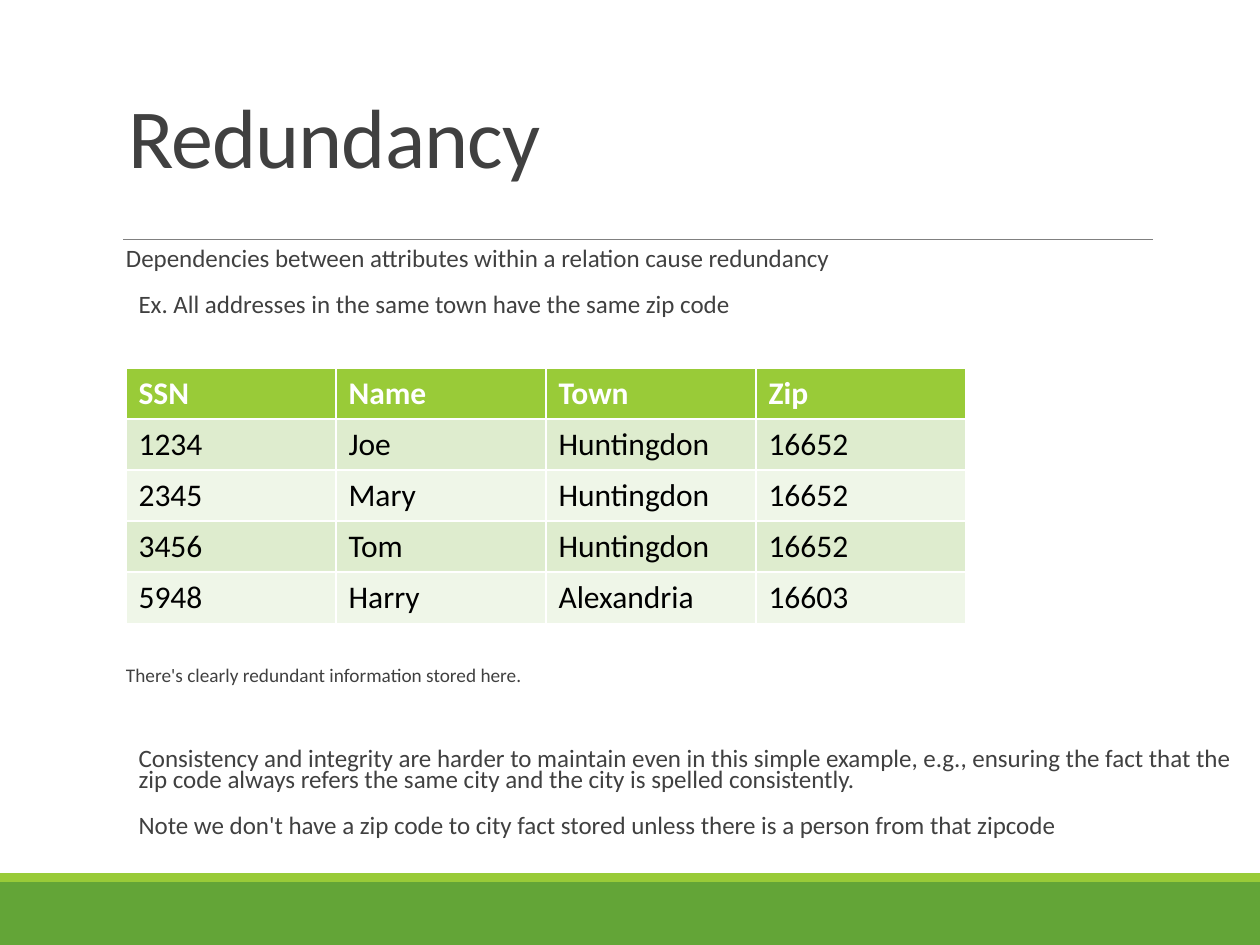
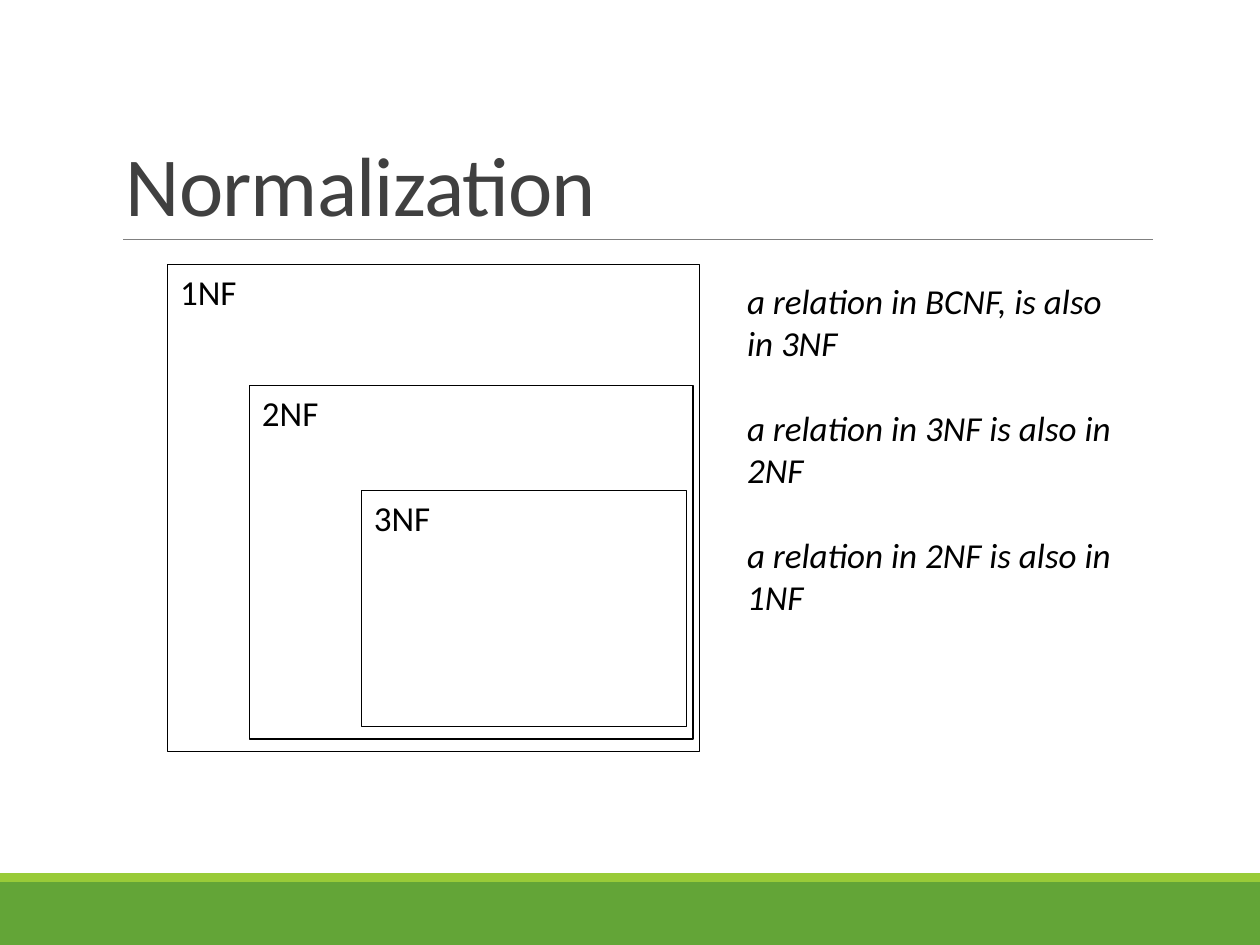
"""Build two slides on redundancy and normalization in relations."""
import lxml.etree
import pptx
import pptx.dml.color
import pptx.enum.shapes
import pptx.enum.text
import pptx.oxml.ns
import pptx.util

Pt = pptx.util.Pt
RGB = pptx.dml.color.RGBColor
SHAPE = pptx.enum.shapes.MSO_SHAPE
ANCHOR = pptx.enum.text.MSO_ANCHOR

FONT = "Calibri"
GREEN = RGB(0x63, 0xA5, 0x37)
LIME = RGB(0x99, 0xCB, 0x38)
ROW_TINTS = (RGB(0xDE, 0xEC, 0xCE), RGB(0xEF, 0xF6, 0xE8))
GRAY = RGB(0x80, 0x80, 0x80)
CHARCOAL = RGB(0x40, 0x40, 0x40)
BLACK = RGB(0, 0, 0)
WHITE = RGB(0xFF, 0xFF, 0xFF)

WIDTH, HEIGHT = 720, 540
BANDS = [(504, 36, GREEN), (499, 5, LIME)]
RULE = (70.5, 137, 659, 137)

REDUNDANCY_TITLE = ("Redundancy", (66.2, 49.7, 612, 59.8))
# text, size, left indent, extra space above
REDUNDANCY_POINTS = [
    ("Dependencies between attributes within a relation cause redundancy", 14.3, 0, 0),
    ("Ex. All addresses in the same town have the same zip code", 14.3, 7.2, 0),
    ("There's clearly redundant information stored here.", 11, 0, 187.2),
    ("Consistency and integrity are harder to maintain even in this simple example, "
     "e.g., ensuring the fact that the zip code always refers the same city and the "
     "city is spelled consistently.", 14.3, 7.2, 23.4),
    ("Note we don't have a zip code to city fact stored unless there is a person "
     "from that zipcode", 14.3, 7.2, 0),
]
RESIDENTS = [
    ("SSN", "Name", "Town", "Zip"),
    ("1234", "Joe", "Huntingdon", "16652"),
    ("2345", "Mary", "Huntingdon", "16652"),
    ("3456", "Tom", "Huntingdon", "16652"),
    ("5948", "Harry", "Alexandria", "16603"),
]
COLUMN_WIDTH, ROW_HEIGHT = 120, 29.2

NORMALIZATION_TITLE = ("Normalization", (64.8, 22.3, 594, 114.5))
NORMAL_FORMS = [("1NF", 95.8, 151.2), ("2NF", 142.6, 220.3), ("3NF", 206.6, 280.1)]
OUTER_RIGHT, OUTER_BOTTOM = 399.6, 429.5
RIGHT_STEP, BOTTOM_STEP = 3.6, 7.2
IMPLICATIONS = [
    "a relation in BCNF, is also in 3NF",
    "a relation in 3NF is also in 2NF",
    "a relation in 2NF is also in 1NF",
]


def style(para, size, color, bold=False, italic=False):
    font = para.font
    font.name, font.size, font.bold, font.italic = FONT, Pt(size), bold, italic
    font.color.rgb = color


def add_rectangle(page, place, fill=None, line=None):
    box = page.shapes.add_shape(SHAPE.RECTANGLE, *map(Pt, place))
    box.shadow.inherit = False
    if fill is None:
        box.fill.background()
    else:
        box.fill.solid()
        box.fill.fore_color.rgb = fill
    if line is None:
        box.line.fill.background()
    else:
        box.line.color.rgb = line
        box.line.width = Pt(0.75)
    return box


def add_text(page, place, texts):
    frame = page.shapes.add_textbox(*map(Pt, place)).text_frame
    frame.word_wrap = True
    frame.text = "\n".join(texts)
    return frame


def add_page(deck, title, place):
    page = deck.slides.add_slide(deck.slide_layouts[6])
    for top, height, color in BANDS:
        add_rectangle(page, (0, top, WIDTH, height), fill=color)
    rule = page.shapes.add_connector(
        pptx.enum.shapes.MSO_CONNECTOR.STRAIGHT, *map(Pt, RULE))
    rule.line.color.rgb = GRAY
    rule.line.width = Pt(0.5)
    lxml.etree.SubElement(rule._element.spPr, pptx.oxml.ns.qn("a:effectLst"))
    frame = add_text(page, place, [title])
    frame.vertical_anchor = ANCHOR.BOTTOM
    para = frame.paragraphs[0]
    para.line_spacing = 0.85
    style(para, 48, CHARCOAL)
    para.font._element.set("spc", "-50")
    return page


def add_points(page):
    frame = add_text(page, (72, 139.7, 648, 354.2), [point[0] for point in REDUNDANCY_POINTS])
    frame.margin_left = frame.margin_right = 0
    for para, (_, size, indent, gap) in zip(frame.paragraphs, REDUNDANCY_POINTS):
        style(para, size, CHARCOAL)
        para.line_spacing = 0.7
        para.space_before, para.space_after = Pt(12 + gap), Pt(2)
        para._p.get_or_add_pPr().set("marL", str(Pt(indent)))


def add_residents(page):
    rows, columns = len(RESIDENTS), len(RESIDENTS[0])
    place = (72, 210.2, columns * COLUMN_WIDTH, rows * ROW_HEIGHT)
    table = page.shapes.add_table(rows, columns, *map(Pt, place)).table
    for i, record in enumerate(RESIDENTS):
        header = i == 0
        for j, value in enumerate(record):
            cell = table.cell(i, j)
            cell.text = value
            cell.fill.solid()
            cell.fill.fore_color.rgb = LIME if header else ROW_TINTS[(i - 1) % 2]
            style(cell.text_frame.paragraphs[0], 18, WHITE if header else BLACK, bold=header)


def add_normal_forms(page):
    for depth, (name, left, top) in reversed(list(enumerate(NORMAL_FORMS))):
        right = OUTER_RIGHT - depth * RIGHT_STEP
        bottom = OUTER_BOTTOM - depth * BOTTOM_STEP
        box = add_rectangle(page, (left, top, right - left, bottom - top), line=BLACK)
        frame = box.text_frame
        frame.text = name
        frame.vertical_anchor = ANCHOR.TOP
        para = frame.paragraphs[0]
        para.alignment = pptx.enum.text.PP_ALIGN.LEFT
        style(para, 20, BLACK)


def add_implications(page):
    frame = add_text(page, (419.8, 156.2, 234, 262.8), IMPLICATIONS)
    for i, para in enumerate(frame.paragraphs):
        style(para, 20, BLACK, italic=True)
        para.space_before = Pt(24.4 if i else 0)


def main():
    deck = pptx.Presentation()
    deck.slide_width, deck.slide_height = Pt(WIDTH), Pt(HEIGHT)
    page = add_page(deck, *REDUNDANCY_TITLE)
    add_points(page)
    add_residents(page)
    page = add_page(deck, *NORMALIZATION_TITLE)
    add_normal_forms(page)
    add_implications(page)
    deck.save("out.pptx")


if __name__ == "__main__":
    main()
